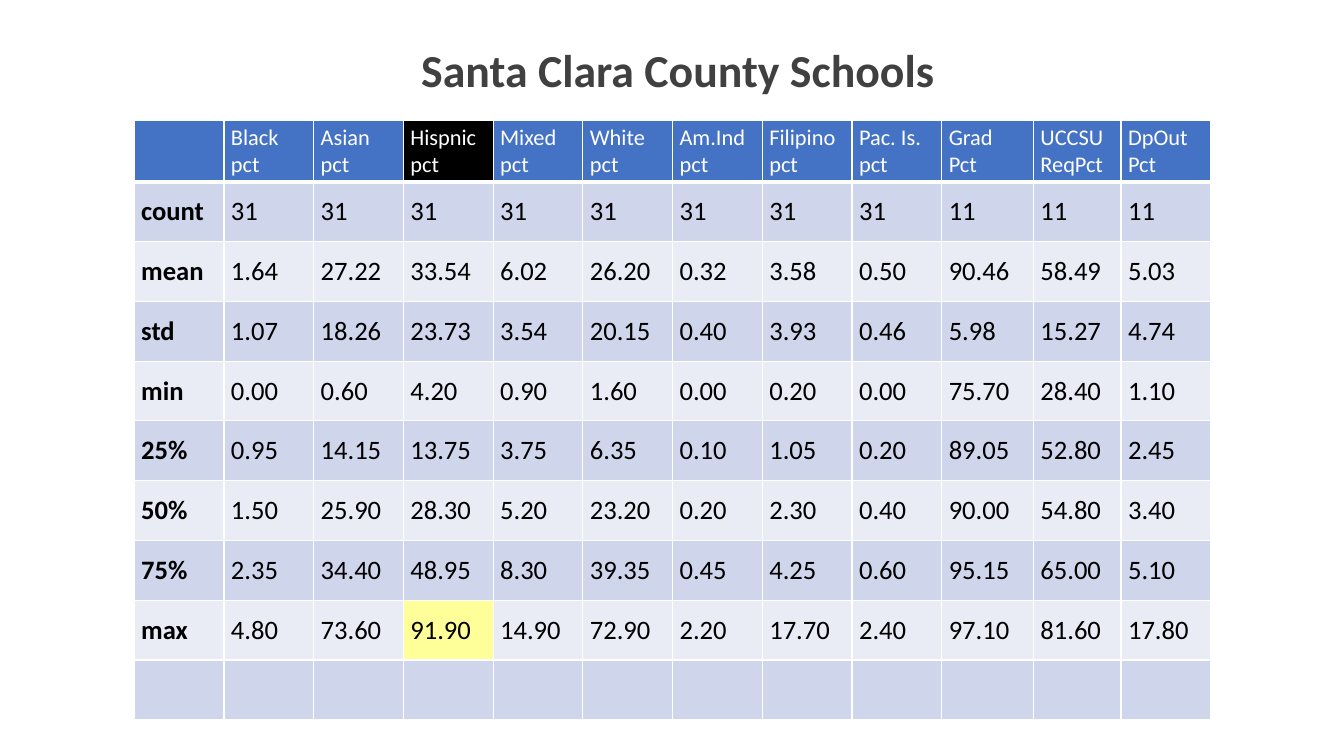
from lxml import etree
from pptx import Presentation
from pptx.dml.color import RGBColor
from pptx.enum.text import MSO_ANCHOR
from pptx.oxml.ns import qn
from pptx.util import Pt

TITLE = "Santa Clara County Schools"
HEADERS = ["", "Black\npct", "Asian\npct", "Hispnic\npct", "Mixed\npct",
           "White\npct", "Am.Ind\npct", "Filipino\npct", "Pac. Is.\npct",
           "Grad\nPct", "UCCSU\nReqPct", "DpOut\nPct"]
STATISTICS = [
    ["count", "31", "31", "31", "31", "31", "31", "31", "31", "11", "11", "11"],
    ["mean", "1.64", "27.22", "33.54", "6.02", "26.20", "0.32", "3.58", "0.50",
     "90.46", "58.49", "5.03"],
    ["std", "1.07", "18.26", "23.73", "3.54", "20.15", "0.40", "3.93", "0.46",
     "5.98", "15.27", "4.74"],
    ["min", "0.00", "0.60", "4.20", "0.90", "1.60", "0.00", "0.20", "0.00",
     "75.70", "28.40", "1.10"],
    ["25%", "0.95", "14.15", "13.75", "3.75", "6.35", "0.10", "1.05", "0.20",
     "89.05", "52.80", "2.45"],
    ["50%", "1.50", "25.90", "28.30", "5.20", "23.20", "0.20", "2.30", "0.40",
     "90.00", "54.80", "3.40"],
    ["75%", "2.35", "34.40", "48.95", "8.30", "39.35", "0.45", "4.25", "0.60",
     "95.15", "65.00", "5.10"],
    ["max", "4.80", "73.60", "91.90", "14.90", "72.90", "2.20", "17.70", "2.40",
     "97.10", "81.60", "17.80"],
    [""] * len(HEADERS),
]
ROWS = [HEADERS] + STATISTICS

FONT = "Calibri"
MIDDLE = MSO_ANCHOR.MIDDLE
WHITE = RGBColor(0xFF, 0xFF, 0xFF)
BLACK = RGBColor(0x00, 0x00, 0x00)
GREY = RGBColor(0x40, 0x40, 0x40)
BLUE = RGBColor(0x44, 0x72, 0xC4)
DARK_BAND = RGBColor(0xCF, 0xD5, 0xEA)
LIGHT_BAND = RGBColor(0xE9, 0xEB, 0xF5)
YELLOW = RGBColor(0xFF, 0xFF, 0x99)
HIGHLIGHTS = {(0, 3): BLACK, (8, 3): YELLOW}

TABLE_LEFT, TABLE_TOP = 95.9, 85.9
COLUMN_WIDTHS = [64.1] * 9 + [65.5, 62.6, 64.1]
ROW_HEIGHTS = [44] + [42.7] * len(STATISTICS)


def set_font(paragraph, size, color, bold):
    font = paragraph.font
    font.name, font.size, font.bold = FONT, Pt(size), bold
    font.color.rgb = color


def set_borders(cell, bottom_width):
    """Draw white borders; the schema wants them ahead of the cell fill."""
    properties = cell._tc.get_or_add_tcPr()
    widths = {"a:lnL": 1, "a:lnR": 1, "a:lnT": 1, "a:lnB": bottom_width}
    for position, (tag, width) in enumerate(widths.items()):
        line = etree.Element(qn(tag), w=str(Pt(width)))
        fill = etree.SubElement(line, qn("a:solidFill"))
        etree.SubElement(fill, qn("a:srgbClr"), val=str(WHITE))
        properties.insert(position, line)


def fill_cell(cell, row, column, text):
    is_header = row == 0
    band = BLUE if is_header else DARK_BAND if row % 2 else LIGHT_BAND
    cell.fill.solid()
    cell.fill.fore_color.rgb = HIGHLIGHTS.get((row, column), band)
    set_borders(cell, 3 if is_header else 1)
    cell.margin_left = cell.margin_right = Pt(5)
    cell.margin_top = cell.margin_bottom = Pt(2.2)
    cell.vertical_anchor = MIDDLE
    cell.text = text
    for paragraph in cell.text_frame.paragraphs:
        if is_header:
            set_font(paragraph, 16, WHITE, False)
        else:
            set_font(paragraph, 19, BLACK, column == 0)


def add_statistics_table(page):
    frame = page.shapes.add_table(
        len(ROWS), len(HEADERS), Pt(TABLE_LEFT), Pt(TABLE_TOP),
        Pt(sum(COLUMN_WIDTHS)), Pt(sum(ROW_HEIGHTS)))
    table = frame.table
    table.first_row = table.horz_banding = False
    for column, width in zip(table.columns, COLUMN_WIDTHS):
        column.width = Pt(width)
    for row, height in zip(table.rows, ROW_HEIGHTS):
        row.height = Pt(height)
    for row, texts in enumerate(ROWS):
        for column, text in enumerate(texts):
            fill_cell(table.cell(row, column), row, column, text)


def add_title(page):
    box = page.shapes.add_textbox(Pt(293.8), Pt(25.9), Pt(381.6), Pt(46.8))
    box.text_frame.word_wrap = True
    paragraph = box.text_frame.paragraphs[0]
    paragraph.text = TITLE
    set_font(paragraph, 32.7, GREY, True)


def main():
    deck = Presentation()
    deck.slide_width, deck.slide_height = Pt(960), Pt(540)
    page = deck.slides.add_slide(deck.slide_layouts[6])
    add_statistics_table(page)
    add_title(page)
    deck.save("out.pptx")


if __name__ == "__main__":
    main()
